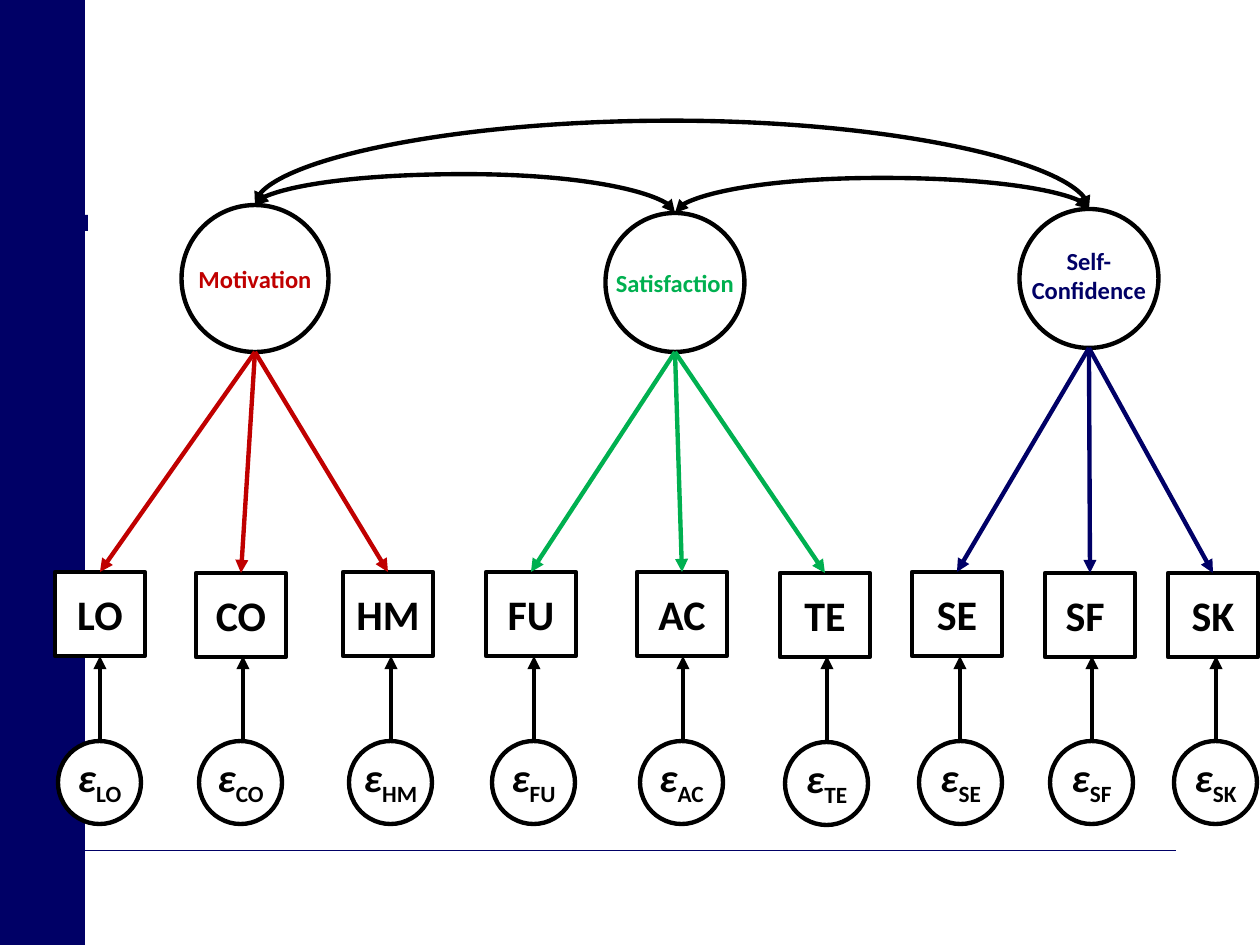
from dataclasses import dataclass
from lxml.etree import SubElement
from pptx import Presentation
from pptx.dml.color import RGBColor
from pptx.enum.shapes import MSO_CONNECTOR, MSO_SHAPE
from pptx.enum.text import MSO_ANCHOR, PP_ALIGN
from pptx.oxml.ns import qn
from pptx.util import Pt


@dataclass(frozen=True)
class Theme:
    font: str = "Calibri"
    navy: str = "000066"
    black: str = "000000"
    white: str = "FFFFFF"
    red: str = "C00000"
    green: str = "00B050"
    factor: int = 14
    item: int = 24
    error: int = 23
    stroke: float = 2.5
    hair: float = 0.25


def emu(px):
    return round(px * 914400 / 126)


def assign(target, values):
    for name, value in values.items():
        setattr(target, name, value)


class Painter:
    def __init__(self, slide, theme):
        self.slide = slide
        self.theme = theme

    def shape(self, kind, box, fill=None, line=None, width=None):
        shape = self.slide.shapes.add_shape(kind, *map(emu, box))
        shape.shadow.inherit = False
        if fill:
            shape.fill.solid()
            shape.fill.fore_color.rgb = RGBColor.from_string(fill)
        else:
            shape.fill.background()
        if line:
            self.stroke(shape, line, width or self.theme.stroke)
        else:
            shape.line.fill.background()
        return shape

    def stroke(self, shape, color, width):
        shape.line.color.rgb = RGBColor.from_string(color)
        shape.line.width = Pt(width)

    def text(self, shape, lines, size, color, inset, wrap=True):
        left, top, right, bottom = map(emu, inset)
        frame = shape.text_frame
        assign(frame, {
            "margin_left": left, "margin_top": top,
            "margin_right": right, "margin_bottom": bottom,
            "word_wrap": wrap, "vertical_anchor": MSO_ANCHOR.MIDDLE,
        })
        for row, line in enumerate(lines):
            para = frame.add_paragraph() if row else frame.paragraphs[0]
            para.alignment = PP_ALIGN.CENTER
            for words, extra in line:
                run = para.add_run()
                run.text = words
                style = {"name": self.theme.font, "size": Pt(size), "bold": True}
                assign(run.font, style | extra)
                run.font.color.rgb = RGBColor.from_string(color)
        return frame

    def factor(self, box, lines, color, top):
        shape = self.shape(MSO_SHAPE.OVAL, box, line=self.theme.black)
        rows = [[(line, {})] for line in lines]
        self.text(shape, rows, self.theme.factor, color, (0, top, 0, 6), False)

    def item(self, box, label, fill):
        shape = self.shape(MSO_SHAPE.RECTANGLE, box, fill, self.theme.black)
        self.text(shape, [[(label, {})]], self.theme.item,
                  self.theme.black, (13, 6, 13, 6))

    def error(self, box, label, fill):
        shape = self.shape(MSO_SHAPE.OVAL, box, fill, self.theme.black)
        line = [("ε", {"italic": True}), (label, {"italic": False})]
        frame = self.text(shape, [line], self.theme.error,
                          self.theme.black, (0, 0, 0, 6))
        font = frame.paragraphs[0].runs[1].font
        font._element.set("baseline", "-25000")

    def line(self, start, end, color, width=None, heads=("tailEnd",),
             kind=MSO_CONNECTOR.STRAIGHT):
        line = self.slide.shapes.add_connector(kind, *map(emu, start + end))
        self.stroke(line, color, width or self.theme.stroke)
        for head in heads:
            SubElement(line.line._get_or_add_ln(), qn("a:" + head), type="triangle")
        SubElement(line._element.spPr, qn("a:effectLst"))
        return line

    def arc(self, start, end, peak):
        (left, first), (right, last) = start, end
        span, rise = right - left, abs(last - first)
        mid, level = (left + right) / 2, (first + last) / 2
        arc = self.line((mid - rise / 2, level - span / 2),
                        (mid + rise / 2, level + span / 2), self.theme.black,
                        heads=("headEnd", "tailEnd"), kind=MSO_CONNECTOR.CURVE)
        props = arc._element.spPr
        frame = props.find(qn("a:xfrm"))
        frame.set("rot", str(270 * 60000))
        if last > first:
            frame.set("flipH", "1")
        geom = props.find(qn("a:prstGeom"))
        guides = geom.find(qn("a:avLst"))
        if guides is None:
            guides = SubElement(geom, qn("a:avLst"))
        bend = round(100000 * (first - peak) / (first - last))
        SubElement(guides, qn("a:gd"), name="adj1", fmla=f"val {bend}")


def main():
    theme = Theme()
    deck = Presentation()
    assign(deck, {"slide_width": emu(1260), "slide_height": emu(945)})
    paint = Painter(deck.slides.add_slide(deck.slide_layouts[6]), theme)

    paint.shape(MSO_SHAPE.RECTANGLE, (84, 215, 1096, 16), theme.navy)
    paint.line((84, 850), (1176, 850), theme.navy, theme.hair, ())
    paint.shape(MSO_SHAPE.RECTANGLE, (0, 0, 84, 945), theme.navy, theme.navy, 1)
    for box in ((87, 675, 1118, 169), (88, 135, 1118, 123)):
        paint.shape(MSO_SHAPE.RECTANGLE, box, theme.white)

    factors = [
        (255, 205, 147, ["Motivation"], theme.red, 6, [
            ("LO", 100, 572, 100, 100, 741),
            ("CO", 241, 573, 241, 243, 741),
            ("HM", 388, 572, 391, 391, 741)]),
        (675, 213, 139, ["Satisfaction"], theme.green, 6, [
            ("FU", 531, 572, 534, 534, 741),
            ("AC", 682, 572, 682, 683, 741),
            ("TE", 825, 573, 827, 827, 742)]),
        (1089, 209, 139, ["Self-", "Confidence"], theme.navy, 0, [
            ("SE", 957, 572, 961, 960, 741),
            ("SF ", 1090, 573, 1092, 1092, 741),
            ("SK", 1213, 573, 1216, 1216, 741)]),
    ]
    for mid, top, size, lines, color, inset, items in factors:
        paint.factor((mid - size / 2, top, size, size), lines, color, inset)
        for label, x, y, base, stem, foot in items:
            fill = theme.white if label == "LO" else None
            paint.item((x - 45, y, 90, 84), label, fill)
            paint.error((base - 42, foot, 83, 83), label.strip(), fill)
            paint.line((stem, foot), (stem, 656), theme.black)
            paint.line((mid, top + size), (x, y), color)

    tops = [factor[:2] for factor in factors]
    for start, end, peak in ((0, 1, 174), (1, 2, 178), (0, 2, 121)):
        paint.arc(tops[start], tops[end], peak)

    deck.save("out.pptx")


if __name__ == "__main__":
    main()
